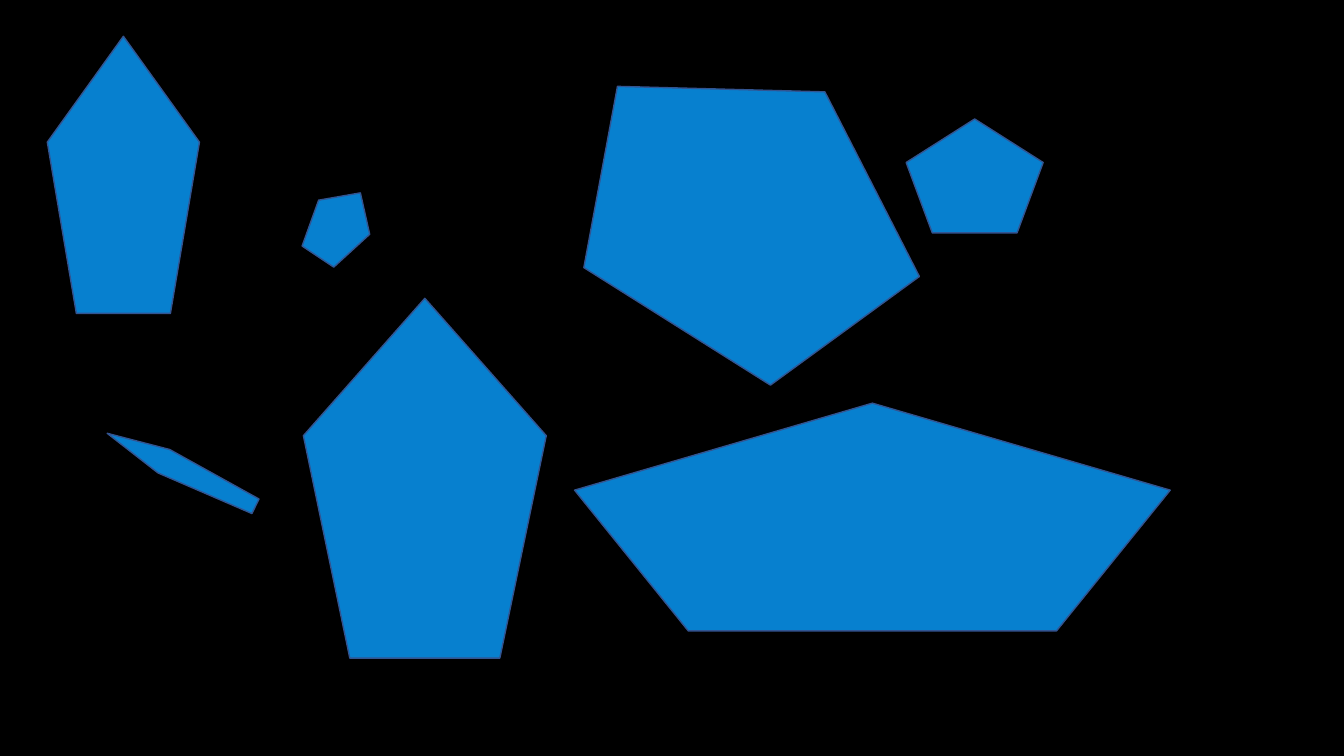
from pptx import Presentation
from pptx.dml.color import RGBColor
from pptx.enum.shapes import MSO_SHAPE
from pptx.util import Pt

PENTAGON = MSO_SHAPE.REGULAR_PENTAGON
BLACK = RGBColor(0x00, 0x00, 0x00)
BLUE = RGBColor(0x07, 0x80, 0xCF)
OUTLINE = RGBColor(0x32, 0x54, 0x91)

SLIDE_BOX = (0, 0, 960, 540)

# left, top, width, height in points, then clockwise rotation in degrees
PENTAGONS = [
    (33.8, 25.9, 108.7, 198, 0),
    (409, 50.4, 254.9, 198, 32.2),
    (120.2, 276.5, 18.7, 118.1, 296.2),
    (647.3, 85, 97.9, 81.4, 0),
    (410.4, 288, 425.5, 162.7, 0),
    (220.3, 133.2, 43.9, 54.7, 33.7),
    (216.7, 213.1, 173.5, 257, 0),
]


def add_pentagon(slide, left, top, width, height, rotation):
    """Add one outlined blue pentagon filling the given box."""
    sp = slide.shapes.add_shape(PENTAGON, Pt(left), Pt(top), Pt(width), Pt(height))
    sp.rotation = rotation
    sp.shadow.inherit = False
    sp.fill.solid()
    sp.fill.fore_color.rgb = BLUE
    sp.line.color.rgb = OUTLINE
    sp.line.width = Pt(1)


def add_pentagon_field(slide, box):
    """Scatter the pentagons, offset from the top left corner of the box."""
    x, y, _, _ = box
    for left, top, width, height, rotation in PENTAGONS:
        add_pentagon(slide, x + left, y + top, width, height, rotation)


def build_slide(prs, box):
    """Add a black slide with the field of pentagons."""
    slide = prs.slides.add_slide(prs.slide_layouts[6])
    slide.background.fill.solid()
    slide.background.fill.fore_color.rgb = BLACK
    add_pentagon_field(slide, box)


prs = Presentation()
prs.slide_width, prs.slide_height = Pt(SLIDE_BOX[2]), Pt(SLIDE_BOX[3])
build_slide(prs, SLIDE_BOX)
prs.save("out.pptx")
